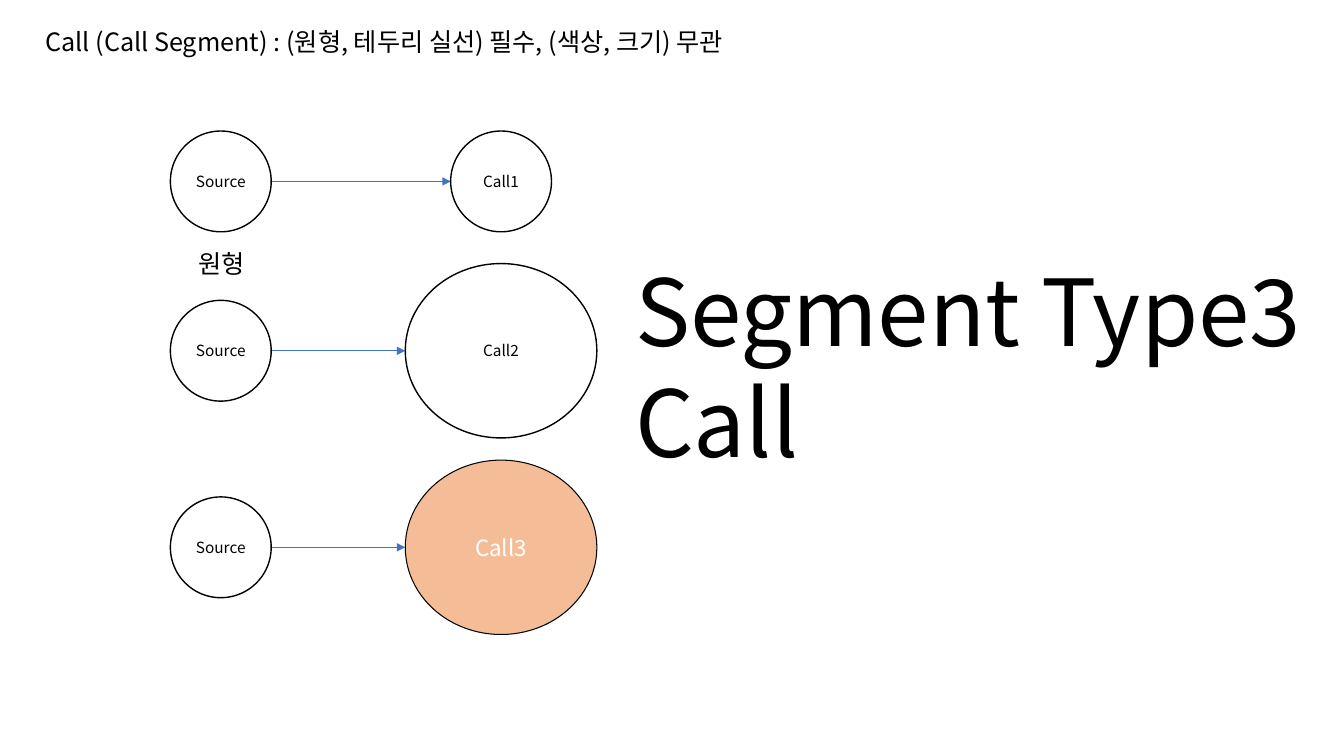
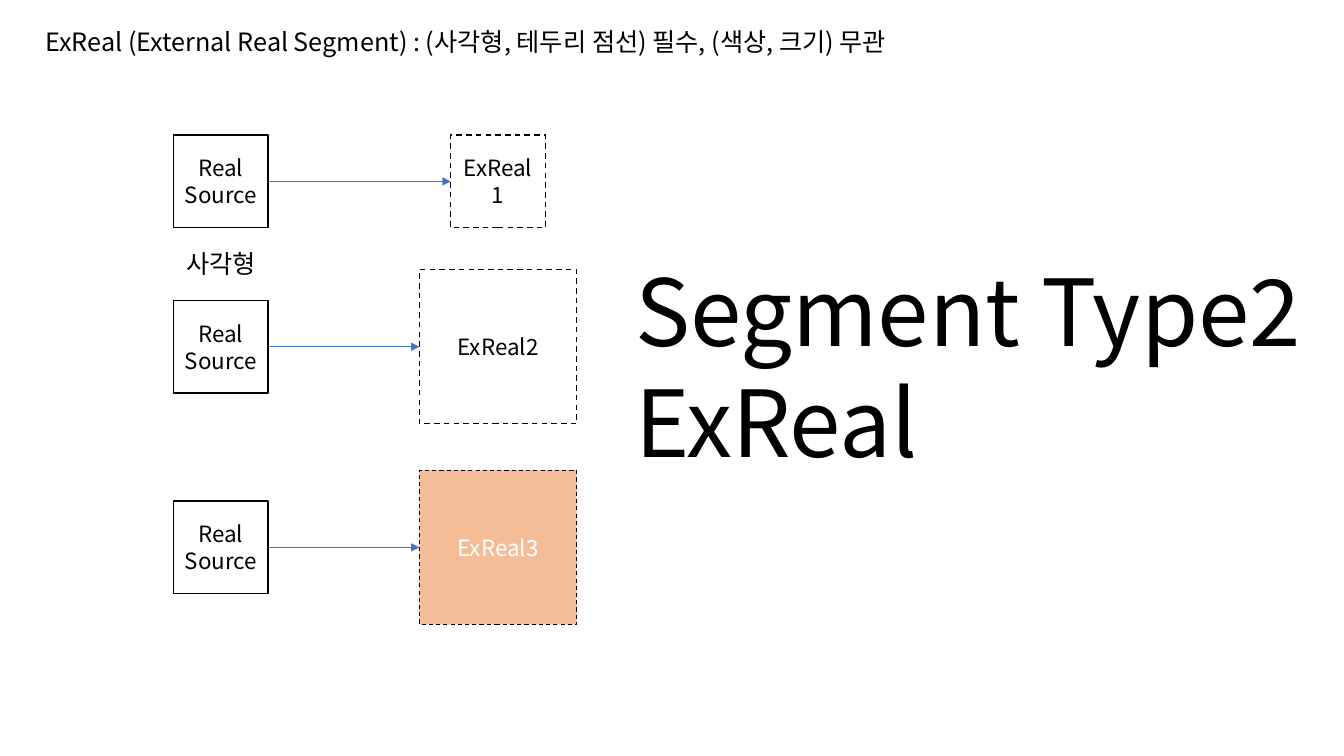
from dataclasses import dataclass

from lxml.etree import SubElement
from pptx import Presentation
from pptx.dml.color import RGBColor
from pptx.enum.dml import MSO_LINE
from pptx.enum.shapes import MSO_CONNECTOR, MSO_SHAPE
from pptx.enum.text import MSO_ANCHOR, MSO_AUTO_SIZE, PP_ALIGN
from pptx.oxml.ns import qn
from pptx.util import Inches, Pt


@dataclass(frozen=True)
class Theme:
    font: str = "Noto Sans CJK KR"
    black: RGBColor = RGBColor(0x00, 0x00, 0x00)
    white: RGBColor = RGBColor(0xFF, 0xFF, 0xFF)
    arrow: RGBColor = RGBColor(0x44, 0x72, 0xC4)
    accent: RGBColor = RGBColor(0xED, 0x7D, 0x31)
    accent_alpha: int = 50
    heading_size: int = 18
    banner_size: int = 66
    node_size: int = 16
    small_node_size: int = 11
    arrow_width: float = 0.5
    outline_width: float = 1
    accent_outline_width: float = 0.75


class Deck:
    """Holds the style and the slide being built."""

    def __init__(self, theme):
        self.theme = theme
        self.presentation = Presentation()
        self.presentation.slide_width = Inches(13.33)
        self.presentation.slide_height = Inches(7.5)
        self.slide = None

    def fill_text(self, frame, lines, size, color,
                  align=PP_ALIGN.LEFT, spacing=1.0):
        frame.word_wrap = True
        for index, line in enumerate(lines):
            paragraph = frame.add_paragraph() if index else frame.paragraphs[0]
            paragraph.alignment = align
            paragraph.line_spacing = spacing
            run = paragraph.add_run()
            run.text = line
            run.font.size = Pt(size)
            run.font.color.rgb = color
            run.font.name = self.theme.font
            # East Asian typeface for the Korean text
            SubElement(run.font._element, qn("a:ea"), typeface=self.theme.font)

    def add_slide(self, heading, width):
        """Start a slide with its heading in the title placeholder."""
        self.slide = self.presentation.slides.add_slide(
            self.presentation.slide_layouts[5])
        title = self.slide.shapes.title
        title.left, title.top = Inches(0.35), Inches(0.21)
        title.width, title.height = Inches(width), Inches(0.4)
        frame = title.text_frame
        frame.vertical_anchor = MSO_ANCHOR.TOP
        frame.auto_size = MSO_AUTO_SIZE.SHAPE_TO_FIT_TEXT
        self.fill_text(frame, [heading], self.theme.heading_size,
                       self.theme.black)

    def add_text(self, box, lines, size, **layout):
        text_box = self.slide.shapes.add_textbox(*map(Inches, box))
        text_box.text_frame.auto_size = MSO_AUTO_SIZE.SHAPE_TO_FIT_TEXT
        self.fill_text(text_box.text_frame, lines, size, self.theme.black,
                       **layout)

    def add_node(self, kind, center, size, lines, text_size,
                 dashed=False, accent=False):
        """Add an outlined shape around its center point."""
        theme = self.theme
        (x, y), (width, height) = center, size
        shape = self.slide.shapes.add_shape(
            kind, Inches(x - width / 2), Inches(y - height / 2),
            Inches(width), Inches(height))
        shape.shadow.inherit = False
        shape.fill.solid()
        shape.fill.fore_color.rgb = theme.accent if accent else theme.white
        if accent:
            color = shape._element.spPr.find(qn("a:solidFill"))[0]
            SubElement(color, qn("a:alpha"), val=str(theme.accent_alpha * 1000))
        shape.line.color.rgb = theme.black
        shape.line.width = Pt(
            theme.accent_outline_width if accent else theme.outline_width)
        if dashed:
            shape.line.dash_style = MSO_LINE.DASH
        self.fill_text(shape.text_frame, lines, text_size,
                       theme.white if accent else theme.black, PP_ALIGN.CENTER)

    def add_arrow(self, start, end, y):
        connector = self.slide.shapes.add_connector(
            MSO_CONNECTOR.STRAIGHT,
            Inches(start), Inches(y), Inches(end), Inches(y))
        connector.line.color.rgb = self.theme.arrow
        connector.line.width = Pt(self.theme.arrow_width)
        properties = connector._element.spPr
        SubElement(properties.find(qn("a:ln")), qn("a:tailEnd"),
                   type="triangle")
        SubElement(properties, qn("a:effectLst"))

    def add_segment_slide(self, heading, heading_width, banner, label, kind,
                          source, source_size, target, target_x, large_size,
                          rows, text_size, dashed):
        """Three source-to-target rows: small, large, large and coloured."""
        theme = self.theme
        self.add_slide(heading, heading_width)
        self.add_text((1.64, 2.26, 1.11, 0.5), [label], theme.heading_size,
                      align=PP_ALIGN.CENTER, spacing=1.5)
        self.add_text((6.2, 2.47, 6.9, 2.32), banner, theme.banner_size)

        source_x = 2.19
        for number, y in enumerate(rows, start=1):
            target_size = source_size if number == 1 else large_size
            accent = number == 3
            self.add_arrow(source_x + source_size[0] / 2,
                           target_x - target_size[0] / 2, y)
            self.add_node(kind, (source_x, y), source_size, source, text_size)
            self.add_node(kind, (target_x, y), target_size,
                          [f"{target}{number}"],
                          theme.node_size if accent else text_size,
                          dashed, accent)


def main():
    theme = Theme()
    deck = Deck(theme)

    # Call segments: circles with a solid outline
    deck.add_segment_slide(
        heading="Call (Call Segment) : (원형, 테두리 실선) 필수, (색상, 크기) 무관",
        heading_width=7.41, banner=["Segment Type3", "Call"], label="원형",
        kind=MSO_SHAPE.OVAL, source=["Source"], source_size=(1, 1),
        target="Call", target_x=4.97, large_size=(1.9, 1.73),
        rows=(1.8, 3.48, 5.43), text_size=theme.small_node_size, dashed=False)

    # External real segments: rectangles with a dashed outline
    deck.add_segment_slide(
        heading="ExReal (External Real Segment) : (사각형, 테두리 점선) 필수, "
                "(색상, 크기) 무관",
        heading_width=9.02, banner=["Segment Type2", "ExReal"], label="사각형",
        kind=MSO_SHAPE.RECTANGLE, source=["Real", "Source"],
        source_size=(0.94, 0.92),
        target="ExReal", target_x=4.94, large_size=(1.56, 1.53),
        rows=(1.8, 3.44, 5.43), text_size=theme.node_size, dashed=True)

    deck.presentation.save("out.pptx")


if __name__ == "__main__":
    main()
